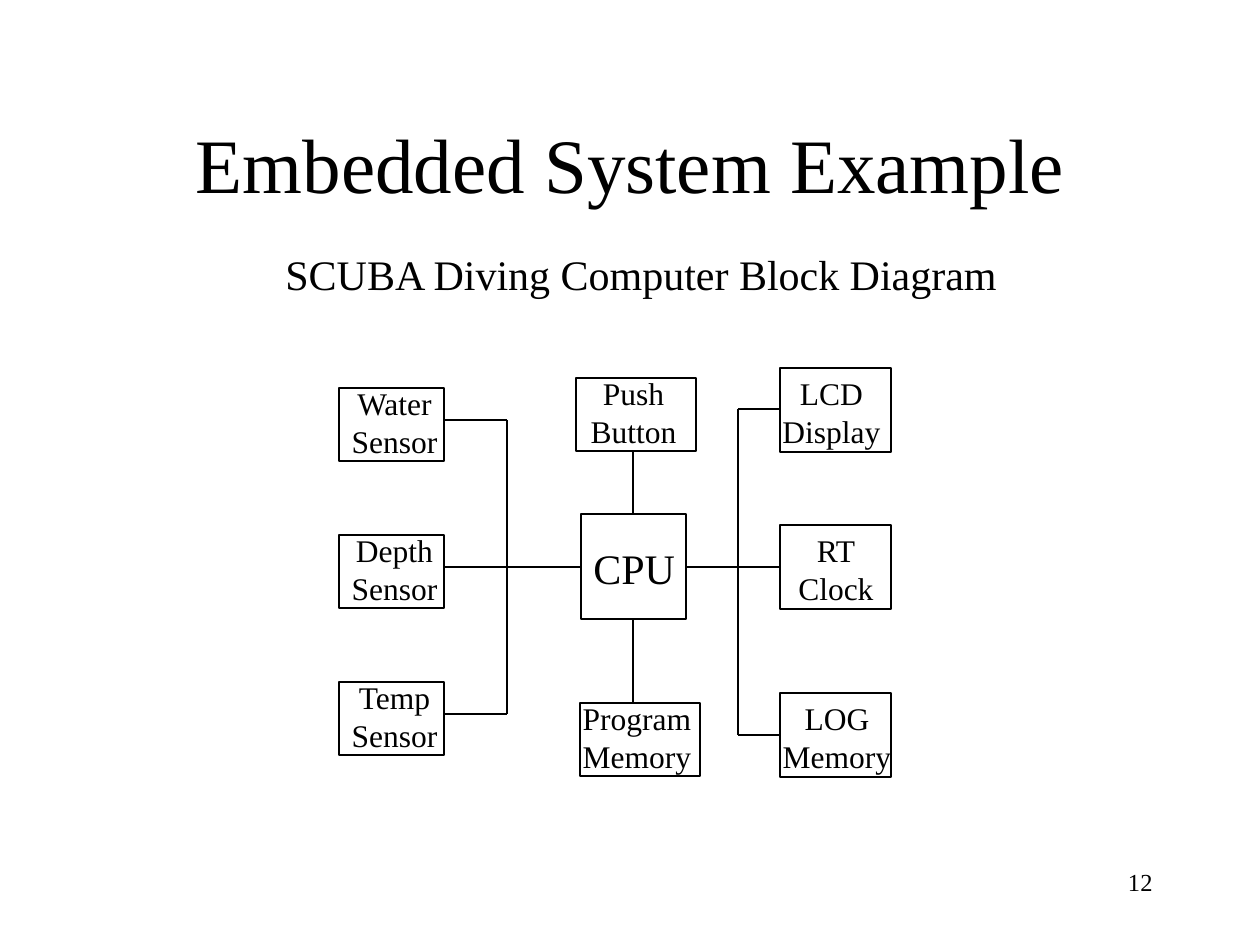
from typing import NamedTuple

from pptx import Presentation
from pptx.dml.color import RGBColor
from pptx.enum.shapes import MSO_CONNECTOR as Connector, MSO_SHAPE as Preset
from pptx.enum.text import MSO_ANCHOR as Anchor, MSO_AUTO_SIZE as AutoSize, PP_ALIGN as Align
from pptx.oxml.ns import qn
from pptx.util import Emu, Pt
from lxml.etree import SubElement

PX_PER_INCH = 126
FONT = "Times New Roman"
BLACK = "000000"
LINE_WIDTH = 0.75


class Frame(NamedTuple):
    """A rectangle in px."""
    left: int
    top: int
    width: int
    height: int


class Block(NamedTuple):
    """A box of the diagram and the frame of its label."""
    text: str
    outline: Frame
    label: Frame
    size: int = 18
    align: Align = Align.CENTER


class Wire(NamedTuple):
    """A straight connection in px."""
    x1: int
    y1: int
    x2: int
    y2: int


SENSORS = [
    Block(f"{name}\nSensor", Frame(339, 388 + 147 * row, 105, 73),
          Frame(339, 378 + 147 * row, 111, 88))
    for row, name in enumerate(["Water", "Depth", "Temp"])
]
OUTPUTS = [
    Block(text, Frame(780, top, 111, 84), Frame(left, top, width, 88))
    for text, top, left, width in [
        ("LCD\nDisplay", 368, 770, 123),
        ("RT\nClock", 525, 786, 100),
        ("LOG\nMemory", 693, 770, 134),
    ]
]
CENTRE = [
    Block("CPU", Frame(581, 514, 105, 105), Frame(581, 536, 107, 63), 24, Align.LEFT),
    Block("Push\nButton", Frame(576, 378, 120, 73), Frame(578, 368, 111, 88)),
    Block("Program\nMemory", Frame(580, 703, 120, 73), Frame(570, 693, 134, 88)),
]
SENSOR_BUS, OUTPUT_BUS, CPU_AXIS = 507, 738, 633
WIRES = [
    Wire(SENSOR_BUS, 420, SENSOR_BUS, 714),
    *[Wire(444, y, SENSOR_BUS, y) for y in (420, 567, 714)],
    Wire(SENSOR_BUS, 567, 581, 567),
    Wire(CPU_AXIS, 451, CPU_AXIS, 514),
    Wire(CPU_AXIS, 619, CPU_AXIS, 703),
    Wire(686, 567, 780, 567),
    Wire(OUTPUT_BUS, 409, OUTPUT_BUS, 735),
    *[Wire(OUTPUT_BUS, y, 780, y) for y in (409, 735)],
]


def px(length: int) -> Emu:
    """Turn px into EMU."""
    return Emu(round(length * 914400 / PX_PER_INCH))


def color(value: str) -> RGBColor:
    """Turn a hex string into a colour."""
    return RGBColor.from_string(value)


def write(text_frame, text: str, *, size: int, align=Align.LEFT,
          anchor=Anchor.TOP, wrap: bool = True) -> None:
    """Fill a text frame, one paragraph per line of text."""
    text_frame.text = text
    text_frame.auto_size = AutoSize.NONE
    text_frame.word_wrap = wrap
    text_frame.vertical_anchor = anchor
    for para in text_frame.paragraphs:
        para.alignment = align
        for span in para.runs:
            span.font.name = FONT
            span.font.size = Pt(size)
            span.font.color.rgb = color(BLACK)


def add_text(page, frame: Frame, text: str, **style) -> None:
    """Add a text box."""
    box = page.shapes.add_textbox(*map(px, frame))
    write(box.text_frame, text, **style)


def add_block(page, block: Block) -> None:
    """Draw a box of the diagram with its label."""
    box = page.shapes.add_shape(Preset.RECTANGLE, *map(px, block.outline))
    box.shadow.inherit = False
    box.fill.background()
    box.line.color.rgb = color(BLACK)
    box.line.width = Pt(LINE_WIDTH)
    add_text(page, block.label, block.text, size=block.size,
             align=block.align, wrap=False)


def add_wire(page, wire: Wire) -> None:
    """Draw a plain line without a shadow."""
    line = page.shapes.add_connector(Connector.STRAIGHT, *map(px, wire))
    line.line.color.rgb = color(BLACK)
    line.line.width = Pt(LINE_WIDTH)
    SubElement(line._element.spPr, qn("a:effectLst"))


def add_title(page, frame: Frame, text: str) -> None:
    """Place and format the title placeholder."""
    title = page.shapes.title
    title.left, title.top, title.width, title.height = map(px, frame)
    write(title.text_frame, text, size=44, align=Align.CENTER, anchor=Anchor.MIDDLE)


def main() -> None:
    """Build the slide and save it."""
    deck = Presentation()
    deck.slide_width, deck.slide_height = px(1260), px(945)
    page = deck.slides.add_slide(deck.slide_layouts[5])
    add_title(page, Frame(95, 84, 1071, 158), "Embedded System Example")
    add_text(page, Frame(273, 242, 738, 63), "SCUBA Diving Computer Block Diagram", size=24)
    for block in SENSORS + CENTRE + OUTPUTS:
        add_block(page, block)
    for wire in WIRES:
        add_wire(page, wire)
    add_text(page, Frame(903, 861, 262, 63), "12", size=14, align=Align.RIGHT)
    deck.save("out.pptx")


if __name__ == "__main__":
    main()
